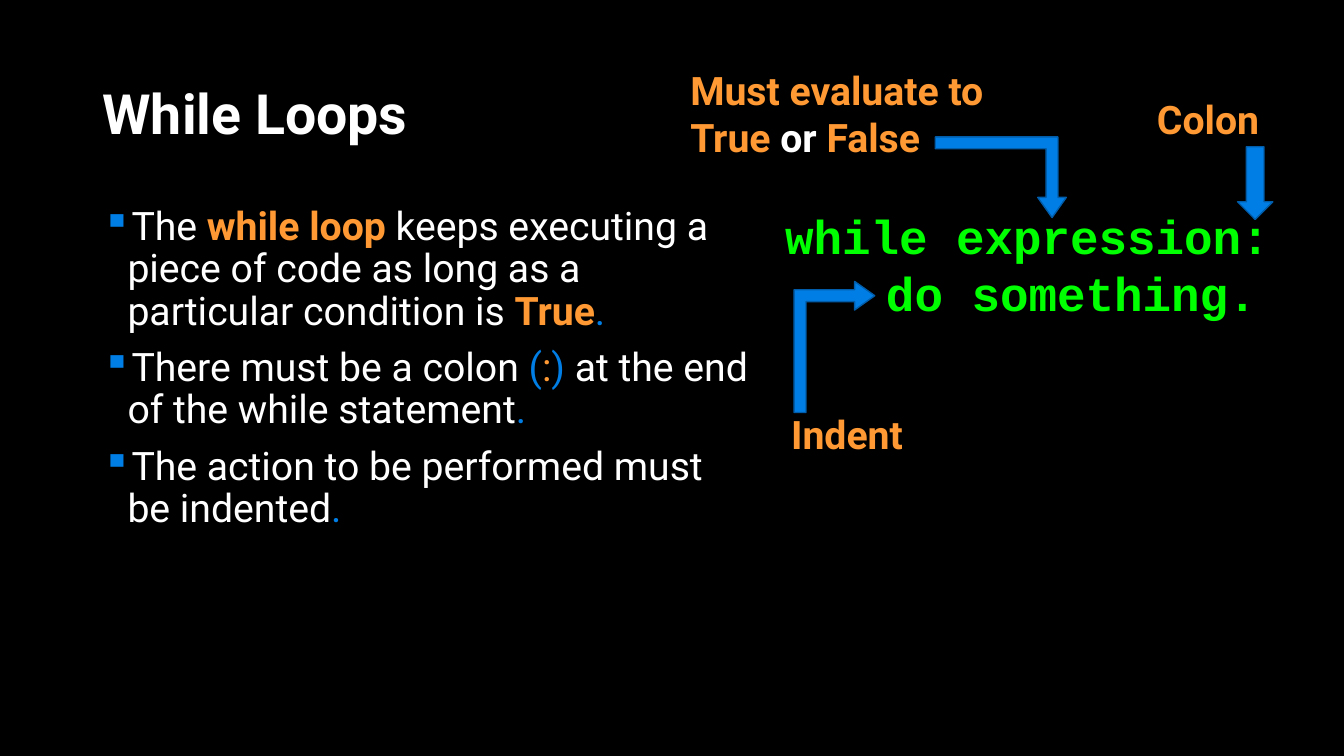
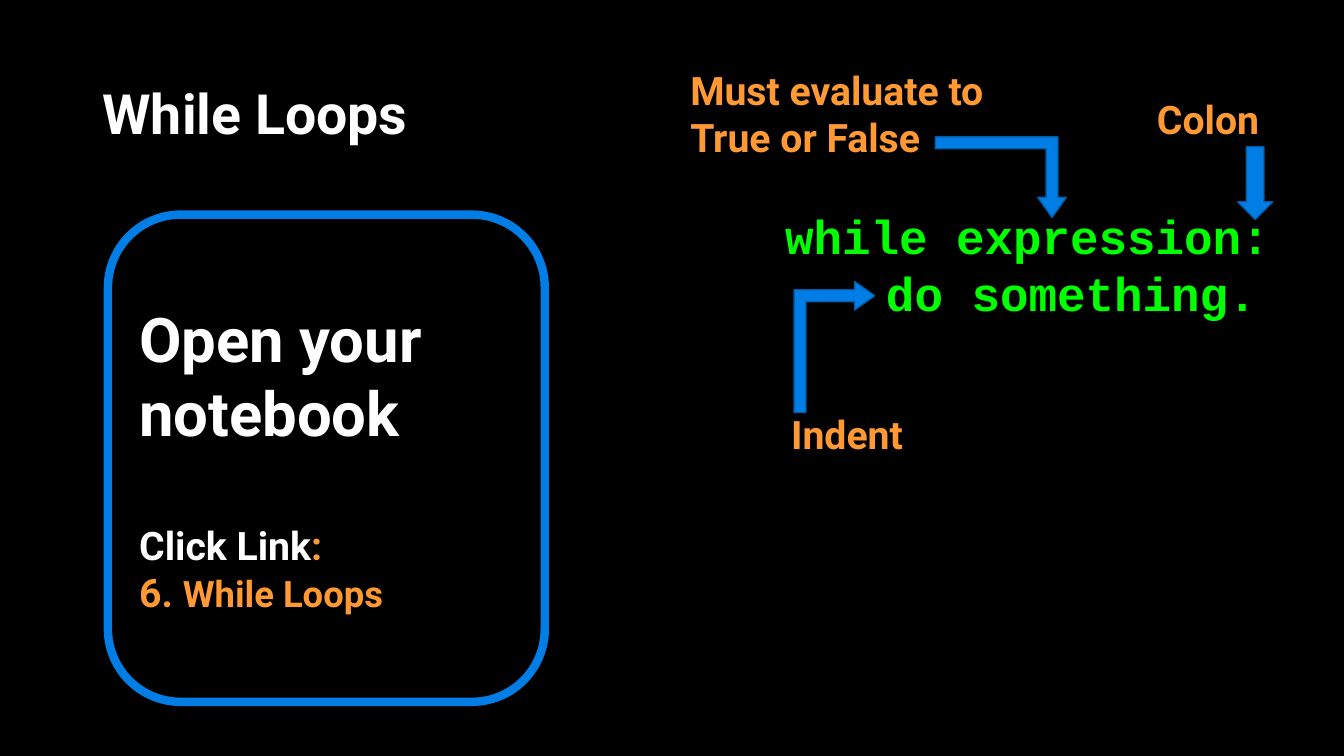
from dataclasses import dataclass

from lxml import etree
from pptx import Presentation
from pptx.dml.color import RGBColor
from pptx.enum.shapes import MSO_SHAPE
from pptx.enum.text import MSO_ANCHOR, MSO_AUTO_SIZE, PP_ALIGN
from pptx.oxml.ns import qn
from pptx.presentation import Presentation as Deck
from pptx.shapes.autoshape import Shape
from pptx.slide import Slide
from pptx.text.text import TextFrame, _Paragraph
from pptx.util import Inches, Pt

BENT_ARROW = MSO_SHAPE.BENT_UP_ARROW
STRAIGHT_ARROW = MSO_SHAPE.RIGHT_ARROW
ROUNDED = MSO_SHAPE.ROUNDED_RECTANGLE
MIDDLE = MSO_ANCHOR.MIDDLE
LEFT = PP_ALIGN.LEFT
FIT_SHAPE = MSO_AUTO_SIZE.SHAPE_TO_FIT_TEXT
FIXED = MSO_AUTO_SIZE.NONE

COLUMNS, ROWS = 160, 90
UNIT = Inches(7.5) / ROWS
TITLE_ONLY = 5
SANS, MONO = "Roboto", "Courier New"
COLORS = {
    "background": "000000",
    "text": "FFFFFF",
    "highlight": "FF9933",
    "accent": "017EE5",
    "outline": "015DA9",
    "code": "00FF00",
}


@dataclass(frozen=True)
class Box:
    column: float
    row: float
    columns: float
    rows: float

    def emu(self) -> tuple[int, ...]:
        return tuple(round(n * UNIT) for n in (self.column, self.row, self.columns, self.rows))


@dataclass(frozen=True)
class Span:
    text: str
    color: str = "text"
    bold: bool = False
    size: float = 28
    font: str = SANS


@dataclass(frozen=True)
class Line:
    spans: tuple[Span, ...]
    indent: float = 0
    space_before: float = 0


@dataclass(frozen=True)
class Arrow:
    box: Box
    kind: MSO_SHAPE
    rotation: int
    adjustments: tuple[float, ...] = ()


def label(text: str, color: str = "highlight", size: float = 28) -> Span:
    return Span(text, color, True, size)


def code(text: str) -> Span:
    return Span(text, "code", True, 34, MONO)


TITLE_BOX = Box(11, 9.6, 138, 8.64)
BULLETS_BOX = Box(11, 24, 79.3, 63.5)
CODE_BOX = Box(92.3, 24, 60.7, 15)
CONDITION_BOX = Box(81, 7.3, 41, 12.5)
INDENT_BOX = Box(93, 48.25, 16.9, 6.85)
COLON_BOX = Box(136.55, 10.7, 15.35, 6.85)
EXERCISE_BOX = Box(12.85, 25.55, 52, 58)

BEND = (0.147, 0.177, 0.25)
ARROWS = (
    Arrow(Box(91.55, 36.5, 15.6, 9.6), BENT_ARROW, 90, BEND),
    Arrow(Box(111.35, 16.3, 15.6, 9.6), BENT_ARROW, 180, BEND),
    Arrow(Box(145.1, 19.7, 8.65, 4.2), STRAIGHT_ARROW, 270),
)

TITLE = Line((label("While Loops", "text", 39.6),))
SYNTAX = (
    Line((code("while expression:"),)),
    Line((code("do something."),), indent=1),
)
STOP = Span(".", "accent")
RULES = (
    Line((
        Span("The "),
        label("while loop "),
        Span("keeps executing a piece of code as long as a particular condition is "),
        label("True"),
        STOP,
    )),
    Line((
        Span("There must be a colon "),
        Span("(", "accent"),
        Span(":", "highlight"),
        Span(")", "accent"),
        Span(" at the end of the while statement"),
        STOP,
    )),
    Line((Span("The action to be performed must be indented"), STOP)),
)
EXERCISE = (
    Line((label("Open your notebook", "text", 44),)),
    Line((label("Click Link", "text"), label(":")), space_before=52),
    Line((label("6. "), label("While Loops", size=26))),
)


def write_line(paragraph: _Paragraph, line: Line) -> None:
    paragraph.alignment = LEFT
    for span in line.spans:
        run = paragraph.add_run()
        run.text = span.text
        run.font.name = span.font
        run.font.size = Pt(span.size)
        run.font.bold = span.bold
        run.font.color.rgb = RGBColor.from_string(COLORS[span.color])
    if line.indent:
        paragraph._p.get_or_add_pPr().set("marL", str(Inches(line.indent)))
    if line.space_before:
        paragraph.space_before = Pt(line.space_before)


def write_lines(frame: TextFrame, lines: tuple[Line, ...]) -> None:
    for index, line in enumerate(lines):
        write_line(frame.add_paragraph() if index else frame.paragraphs[0], line)


def add_bullet(paragraph: _Paragraph) -> None:
    paragraph.line_spacing = 0.9
    paragraph.space_before = Pt(10)
    properties = paragraph._p.get_or_add_pPr()
    properties.set("marL", str(Inches(0.25)))
    properties.set("indent", str(-Inches(0.25)))
    color = etree.SubElement(properties, qn("a:buClr"))
    etree.SubElement(color, qn("a:srgbClr")).set("val", COLORS["accent"])
    etree.SubElement(properties, qn("a:buChar")).set("char", "▪")


def add_text(slide: Slide, box: Box, lines: tuple[Line, ...], wrap: bool = False) -> TextFrame:
    frame = slide.shapes.add_textbox(*box.emu()).text_frame
    frame.word_wrap = wrap
    frame.auto_size = FIXED if wrap else FIT_SHAPE
    write_lines(frame, lines)
    return frame


def add_outlined(slide: Slide, kind: MSO_SHAPE, box: Box, color: str, width: float) -> Shape:
    shape = slide.shapes.add_shape(kind, *box.emu())
    shape.shadow.inherit = False
    shape.line.color.rgb = RGBColor.from_string(COLORS[color])
    shape.line.width = Pt(width)
    return shape


def add_arrow(slide: Slide, arrow: Arrow) -> None:
    shape = add_outlined(slide, arrow.kind, arrow.box, "outline", 1)
    shape.fill.solid()
    shape.fill.fore_color.rgb = RGBColor.from_string(COLORS["accent"])
    for index, value in enumerate(arrow.adjustments):
        shape.adjustments[index] = value
    shape.rotation = arrow.rotation
    shape._element.spPr.find(qn("a:xfrm")).set("flipH", "1")


def add_titled_slide(deck: Deck) -> Slide:
    slide = deck.slides.add_slide(deck.slide_layouts[TITLE_ONLY])
    title = slide.shapes.title
    title.left, title.top, title.width, title.height = TITLE_BOX.emu()
    frame = title.text_frame
    frame.auto_size = FIXED
    frame.vertical_anchor = MIDDLE
    write_lines(frame, (TITLE,))
    frame.paragraphs[0].line_spacing = 0.9
    return slide


def add_syntax_diagram(slide: Slide, outcomes: tuple[Span, ...]) -> None:
    add_text(slide, CODE_BOX, SYNTAX)
    add_text(slide, INDENT_BOX, (Line((label("Indent"),)),))
    add_text(slide, COLON_BOX, (Line((label("Colon"),)),))
    add_text(slide, CONDITION_BOX, (Line((label("Must evaluate to"),)), Line(outcomes)))
    for arrow in ARROWS:
        add_arrow(slide, arrow)


def add_rules_slide(deck: Deck) -> None:
    slide = add_titled_slide(deck)
    for paragraph in add_text(slide, BULLETS_BOX, RULES, wrap=True).paragraphs:
        add_bullet(paragraph)
    add_syntax_diagram(slide, (label("True "), label("or", "text"), label(" False")))


def add_exercise_slide(deck: Deck) -> None:
    slide = add_titled_slide(deck)
    card = add_outlined(slide, ROUNDED, EXERCISE_BOX, "accent", 6)
    card.fill.background()
    card.text_frame.word_wrap = True
    card.text_frame.vertical_anchor = MIDDLE
    write_lines(card.text_frame, EXERCISE)
    add_syntax_diagram(slide, (label("True or False"),))


def main() -> None:
    deck = Presentation()
    deck.slide_width = round(COLUMNS * UNIT)
    deck.slide_height = round(ROWS * UNIT)
    backdrop = deck.slide_master.background.fill
    backdrop.solid()
    backdrop.fore_color.rgb = RGBColor.from_string(COLORS["background"])
    add_rules_slide(deck)
    add_exercise_slide(deck)
    deck.save("out.pptx")


if __name__ == "__main__":
    main()
